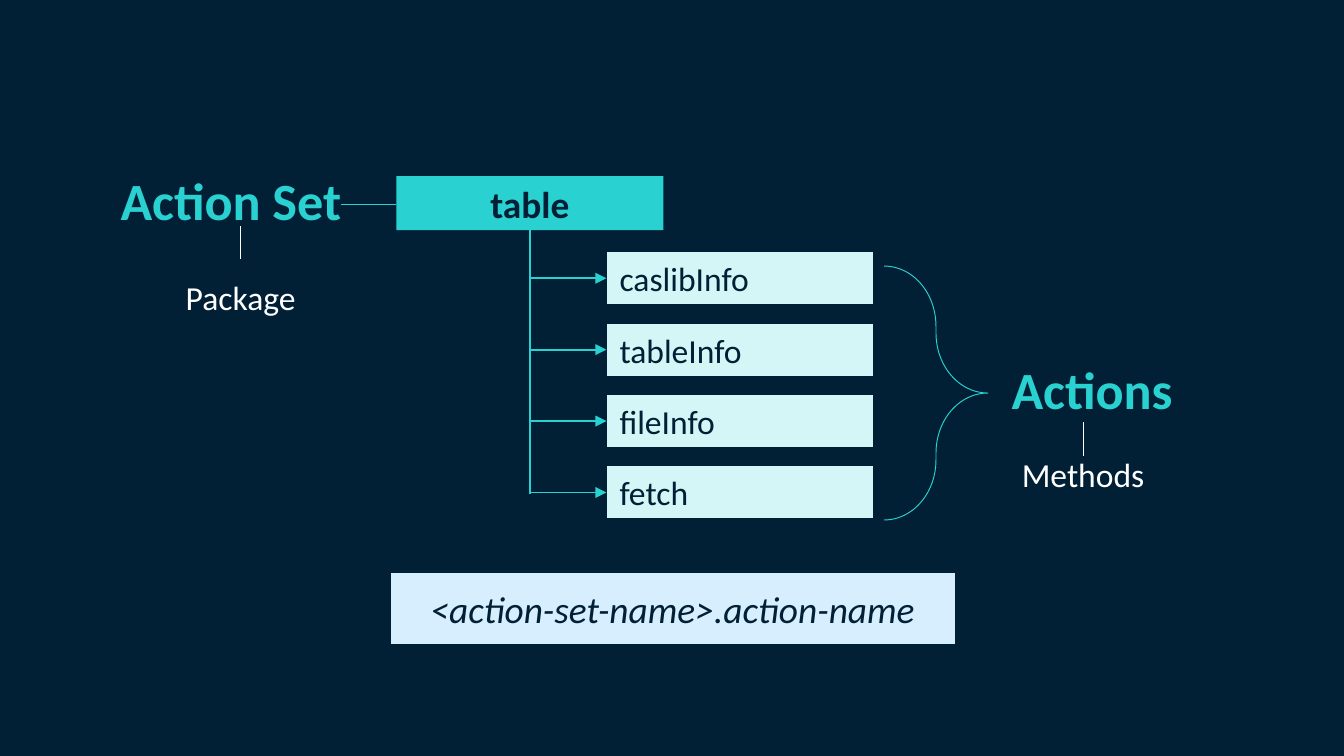
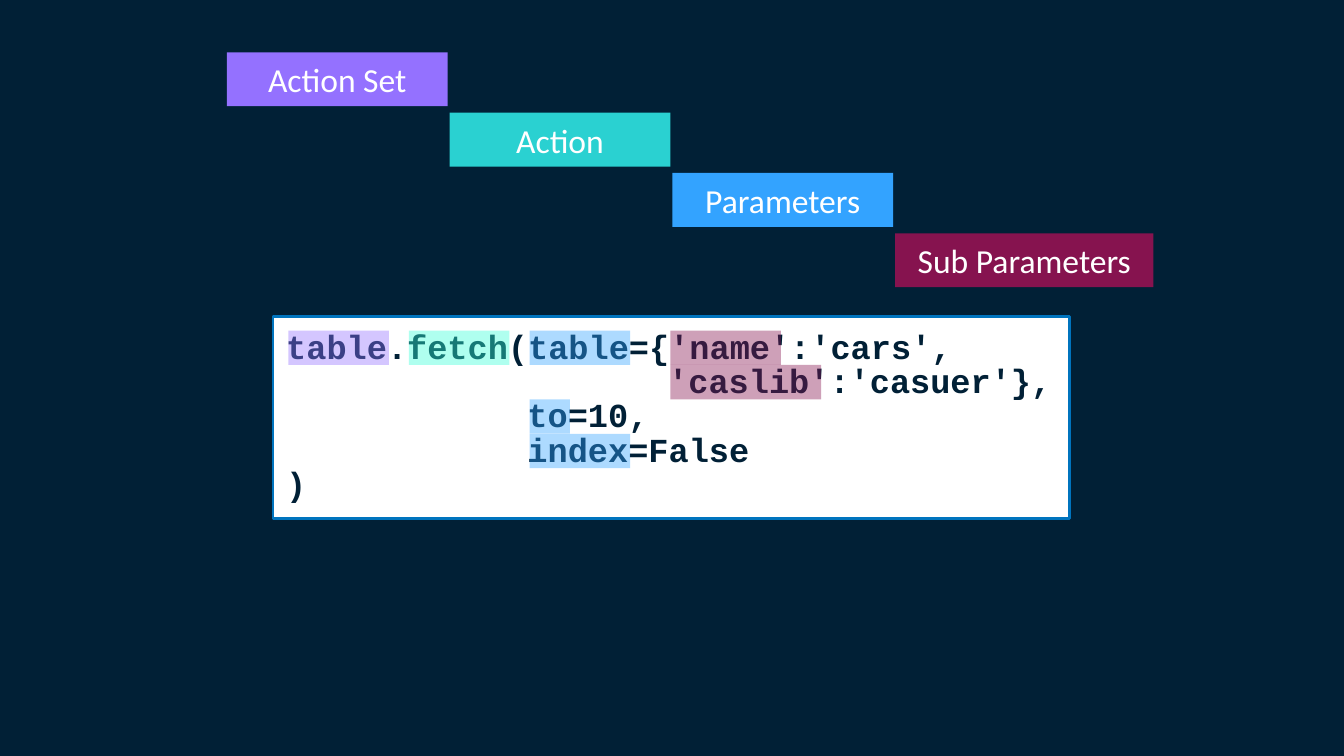
import dataclasses

import lxml.etree
import pptx
import pptx.dml.color
import pptx.enum.shapes
import pptx.enum.text
import pptx.oxml.ns
import pptx.util

Cm = pptx.util.Cm
Pt = pptx.util.Pt
qn = pptx.oxml.ns.qn
KIND = pptx.enum.shapes.MSO_SHAPE
LINK = pptx.enum.shapes.MSO_CONNECTOR
ALIGN = pptx.enum.text.PP_ALIGN
ANCHOR = pptx.enum.text.MSO_ANCHOR


@dataclasses.dataclass(frozen=True)
class Theme:
    navy: str = "012036"
    teal: str = "2AD1D1"
    mint: str = "D4F6F6"
    ice: str = "D6EEFD"
    white: str = "FFFFFF"
    purple: str = "9471FF"
    aqua: str = "37FFD7"
    blue: str = "33A3FF"
    wine: str = "86134F"
    frame: str = "0074BE"
    sans: str = "Calibri"
    mono: str = "Courier New"
    heading: int = 28
    label: int = 20
    body: int = 18


T = Theme()


def rgb(value):
    return pptx.dml.color.RGBColor.from_string(value)


# Shared building blocks
def style_text(tf, text, color, size=T.body, align=ALIGN.LEFT, anchor=ANCHOR.MIDDLE, **font):
    for name, value in {"word_wrap": True, "vertical_anchor": anchor}.items():
        setattr(tf, name, value)
    p = tf.paragraphs[0]
    p.alignment = align
    add_run(p, text, color, size, **font)


def add_run(p, text, color, size=T.body, **font):
    r = p.add_run()
    r.text = text
    formats = {"name": T.sans, "size": Pt(size), **font}
    for name, value in formats.items():
        setattr(r.font, name, value)
    r.font.color.rgb = rgb(color)


def add_shape(s, box, fill=None, line=None, width=1, kind=KIND.RECTANGLE):
    sp = s.shapes.add_shape(kind, *map(Cm, box))
    sp.shadow.inherit = False
    if fill:
        sp.fill.solid()
        sp.fill.fore_color.rgb = rgb(fill)
    else:
        sp.fill.background()
    if line:
        sp.line.color.rgb = rgb(line)
        sp.line.width = Pt(width)
    else:
        sp.line.fill.background()
    return sp


def add_label(s, box, text, color, **formats):
    tf = s.shapes.add_textbox(*map(Cm, box)).text_frame
    style_text(tf, text, color, anchor=ANCHOR.TOP, **formats)


def add_line(s, x1, y1, x2, y2, color, width, kind=LINK.STRAIGHT):
    c = s.shapes.add_connector(kind, Cm(x1), Cm(y1), Cm(x2), Cm(y2))
    c.line.color.rgb = rgb(color)
    c.line.width = Pt(width)
    lxml.etree.SubElement(c._element.spPr, qn("a:effectLst"))
    return c


def add_branch(s, x1, y1, x2, y2, color):
    """Arrow that runs down, then right: a one-bend elbow turned by 270 degrees."""
    cx, cy = (x1 + x2) / 2, (y1 + y2) / 2
    dx, dy = (x2 - x1) / 2, (y2 - y1) / 2
    c = add_line(s, cx + dy, cy - dx, cx - dy, cy + dx, color, 1, LINK.ELBOW)
    pr = c._element.spPr
    pr.find(qn("a:xfrm")).set("rot", "16200000")
    pr.find(qn("a:prstGeom")).set("prst", "bentConnector2")
    lxml.etree.SubElement(pr.find(qn("a:ln")), qn("a:tailEnd"), type="triangle")


# Slide 1: an action set and its actions
def add_concept(s, box, name, note, center, tick, note_top):
    """Heading with a tick down to its everyday name, offsets from the box."""
    x, y = box[:2]
    add_label(s, box, name, T.teal, size=T.heading, bold=True)
    add_line(s, x + center, y + tick, x + center, y + tick + 0.63, T.white, 0.5)
    add_label(s, (x + center - 1.65, y + note_top, 3.3, 1.02), note, T.white, align=ALIGN.CENTER)


def add_action_tree(s, box, root, actions):
    x, y, w, h = box
    trunk = x + w / 2
    leaf_x, leaf_y, pitch = x + 3.97, y + 1.42, 1.35
    last = leaf_y + (len(actions) - 1) * pitch + h / 2
    add_line(s, trunk, y + h, trunk, last + 0.03, T.teal, 1.5)
    for i, action in enumerate(actions):
        top = leaf_y + i * pitch
        sp = add_shape(s, (leaf_x, top, w, h), T.mint, T.navy)
        style_text(sp.text_frame, action, T.navy)
        add_branch(s, trunk, top + h / 2 - 0.95, leaf_x, top + h / 2, T.teal)
    sp = add_shape(s, box, T.teal)
    style_text(sp.text_frame, root, T.navy, T.label, ALIGN.CENTER, bold=True)


def add_syntax_bar(s, box, text):
    sp = add_shape(s, box, T.ice, T.navy)
    style_text(sp.text_frame, text, T.navy, T.label, ALIGN.CENTER, italic=True)


def build_action_set_slide(s):
    add_concept(s, (2.03, 3.05, 5.05, 1.45), "Action Set", "Package", 2.52, 1.22, 2.06)
    add_line(s, 6.45, 3.86, 7.49, 3.86, T.teal, 0.5)
    add_action_tree(s, (7.49, 3.33, 5.05, 1.02), "table",
                    ["caslibInfo", "tableInfo", "fileInfo", "fetch"])
    brace = add_shape(s, (16.71, 5.03, 1.96, 4.8), line=T.teal, width=0.5, kind=KIND.RIGHT_BRACE)
    brace.adjustments[0] = 0.58
    add_concept(s, (18.87, 6.63, 4.17, 1.45), "Actions", "Methods", 1.6, 1.35, 1.83)
    add_syntax_bar(s, (7.37, 10.82, 10.69, 1.37), "<action-set-name>.action-name")


# Slide 2: the parts of a call
CHAR_W, LINE_H = 0.38, 0.65


def add_steps(s, box, steps):
    x, y, w, h = box
    for i, (text, color, extra) in enumerate(steps):
        sp = add_shape(s, (x + i * (w + 0.04), y + i * 1.14, w + extra, h), color)
        style_text(sp.text_frame, text, T.white, align=ALIGN.CENTER)


def add_code(s, box, lines):
    """Each line is a pair of indent in characters and text."""
    sp = add_shape(s, box, T.white, T.frame, 1.5)
    tf = sp.text_frame
    tf.word_wrap = True
    tf.vertical_anchor = ANCHOR.MIDDLE
    for i, (indent, text) in enumerate(lines):
        p = tf.add_paragraph() if i else tf.paragraphs[0]
        p.alignment = ALIGN.LEFT
        p.line_spacing = 0.85
        p._p.get_or_add_pPr().set("marL", str(Cm(indent * CHAR_W)))
        add_run(p, text, T.navy, name=T.mono, bold=True)


def add_highlights(s, box, marks):
    """Each mark is row, column, width in characters and colour."""
    x, y = box[0] + 0.29, box[1] + 0.26
    for row, col, chars, color in marks:
        place = (x + col * CHAR_W, y + row * LINE_H, chars * CHAR_W, LINE_H)
        sp = add_shape(s, place, color)
        clr = sp._element.spPr.find(qn("a:solidFill"))[0]
        lxml.etree.SubElement(clr, qn("a:alpha"), val="40000")


def build_call_slide(s):
    add_steps(s, (4.29, 0.99, 4.17, 1.02), [
        ("Action Set", T.purple, 0),
        ("Action", T.teal, 0),
        ("Parameters", T.blue, 0),
        ("Sub Parameters", T.wine, 0.71),
    ])
    panel = (5.16, 5.99, 15.06, 3.81)
    add_code(s, panel, [
        (0, "table.fetch(table={'name':'cars',"),
        (19, "'caslib':'casuer'},"),
        (12, "to=10,"),
        (12, "index=False"),
        (0, ")"),
    ])
    add_highlights(s, panel, [
        (0, 0, 5, T.purple),
        (0, 6, 5, T.aqua),
        (0, 12, 5, T.blue),
        (2, 12, 2, T.blue),
        (3, 12, 5, T.blue),
        (0, 19, 5.5, T.wine),
        (1, 19, 7.5, T.wine),
    ])


def main():
    prs = pptx.Presentation()
    prs.slide_width, prs.slide_height = Cm(25.4), Cm(14.29)
    # Background shared by all slides
    fill = prs.slide_master.background.fill
    fill.solid()
    fill.fore_color.rgb = rgb(T.navy)
    for build in (build_action_set_slide, build_call_slide):
        build(prs.slides.add_slide(prs.slide_layouts[6]))
    prs.save("out.pptx")


if __name__ == "__main__":
    main()
